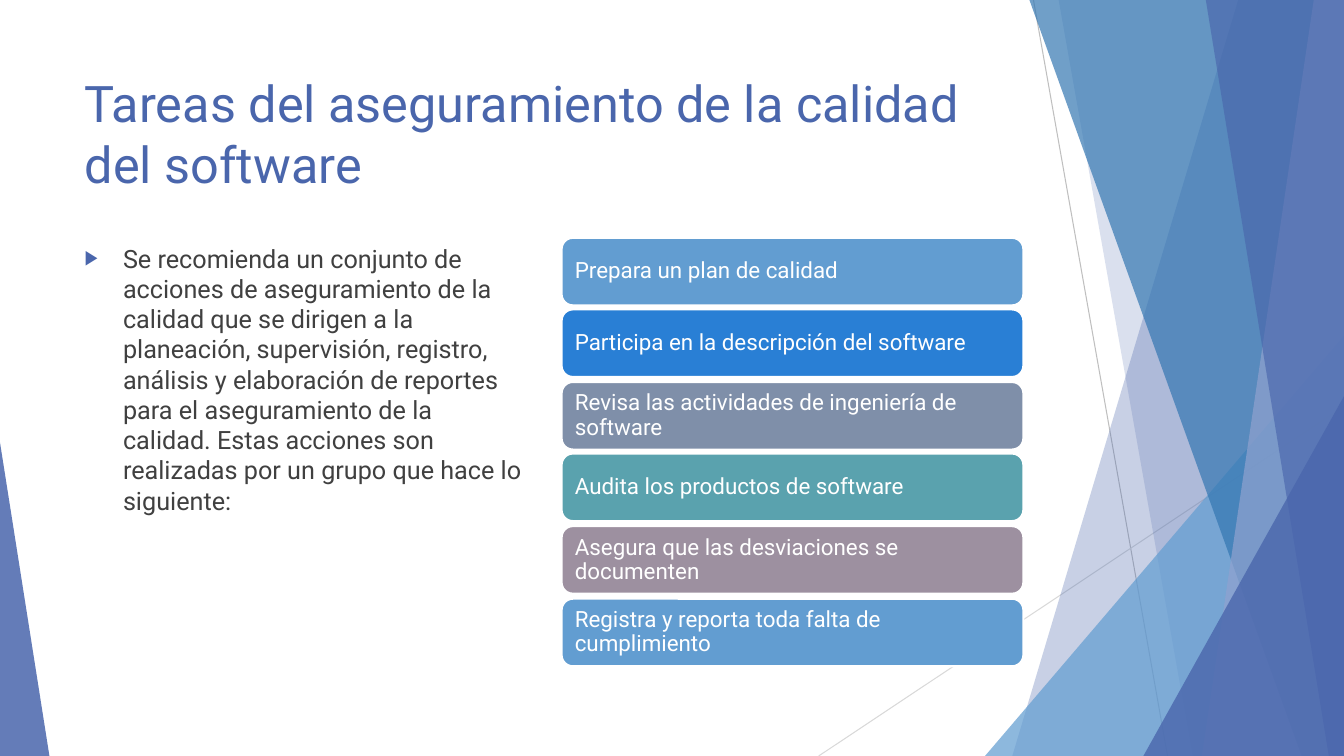
"""Build the slide on software quality assurance tasks."""
from lxml.etree import SubElement
from pptx import Presentation
from pptx.dml.color import RGBColor
from pptx.enum.shapes import MSO_CONNECTOR as CONNECTOR, MSO_SHAPE as SHAPE
from pptx.enum.text import MSO_ANCHOR as ANCHOR, MSO_AUTO_SIZE as AUTO, PP_ALIGN as ALIGN
from pptx.oxml.ns import qn
from pptx.util import Pt

PX = 9144
WIDTH, HEIGHT = 1333, 750
COLORS = {
    "indigo": "4A66AC", "sky": "629DD1", "steel": "3477B2", "lilac": "90A2CF",
    "blue": "297FD5", "slate": "7F8FA9", "teal": "5AA2AE", "mauve": "9D90A0",
    "gray": "BFBFBF", "silver": "D9D9D9", "ink": "404040", "white": "FFFFFF",
}


def paint(shape, color, opacity=100):
    shape.shadow.inherit = False
    shape.fill.solid()
    shape.fill.fore_color.rgb = RGBColor.from_string(COLORS[color])
    shape.line.fill.background()
    if opacity < 100:
        tint = shape.fill._xPr.find(qn("a:solidFill"))[0]
        SubElement(tint, qn("a:alpha"), val=str(opacity * 1000))


def style(paragraph, size, color):
    paragraph.alignment = ALIGN.LEFT
    paragraph.font.name = "Roboto"
    paragraph.font.size = Pt(size)
    paragraph.font.color.rgb = RGBColor.from_string(COLORS[color])


prs = Presentation()
prs.slide_width, prs.slide_height = WIDTH * PX, HEIGHT * PX
slide = prs.slides.add_slide(prs.slide_layouts[1])
shapes = slide.shapes

for x1, y1, x2, y2, color in [
    (1025, 0, 1158, HEIGHT, "gray"),
    (WIDTH, 403, 812, HEIGHT, "silver"),
]:
    ray = shapes.add_connector(CONNECTOR.STRAIGHT, x1 * PX, y1 * PX, x2 * PX, y2 * PX)
    ray.line.color.rgb = RGBColor.from_string(COLORS[color])
    ray.line.width = Pt(0.75)
    SubElement(ray._element.spPr, qn("a:effectLst"))

facets = [
    ("band", (1228, 1004), "indigo", 30),
    ("band", (1050, 1183), "indigo", 20),
    ("triangle", (977, 333, 356, 1), "sky", 72),
    ("band", (1021, 1291), "steel", 70),
    ("band", (1303, 1192), "lilac", 70),
    ("band", (1196, 1318), "indigo", 65),
    ("triangle", (1134, 393, 199, 1), "indigo", 80),
    ("triangle", (0, 439, 49, 0), "indigo", 85),
]
for outline, geometry, color, opacity in facets:
    if outline == "band":
        top_x, bottom_x = geometry
        builder = shapes.build_freeform(top_x, 0, scale=PX)
        builder.add_line_segments([(WIDTH, 0), (WIDTH, HEIGHT), (bottom_x, HEIGHT)], close=True)
        facet = builder.convert_to_shape()
    else:
        left, top, width, apex = geometry
        facet = shapes.add_shape(
            SHAPE.ISOSCELES_TRIANGLE, left * PX, top * PX, width * PX, (HEIGHT - top) * PX)
        facet.adjustments[0] = apex
    paint(facet, color, opacity)

title, intro = shapes.title, slide.placeholders[1]
for holder, top, width, height, wording in [
    (title, 67, 940, 144, "Tareas del aseguramiento de la calidad del software"),
    (intro, 236, 458, 424,
     "Se recomienda un conjunto de acciones de aseguramiento de la calidad que se dirigen "
     "a la planeación, supervisión, registro, análisis y elaboración de reportes para el "
     "aseguramiento de la calidad. Estas acciones son realizadas por un grupo que hace lo "
     "siguiente:"),
]:
    holder.left, holder.top = 74 * PX, top * PX
    holder.width, holder.height = width * PX, height * PX
    holder.text_frame.text = wording
    holder.text_frame.word_wrap = True
    holder.text_frame.auto_size = AUTO.NONE
    holder.text_frame.vertical_anchor = ANCHOR.TOP

style(title.text_frame.paragraphs[0], 36, "indigo")

summary = intro.text_frame.paragraphs[0]
summary.space_before = Pt(10)
indents = summary._p.get_or_add_pPr()
indents.set("marL", str(38 * PX))
indents.set("indent", str(-38 * PX))
SubElement(SubElement(indents, qn("a:buClr")), qn("a:srgbClr"), val=COLORS["indigo"])
SubElement(indents, qn("a:buSzPct"), val="80000")
SubElement(indents, qn("a:buChar"), char="▶")
style(summary, 18, "ink")

tasks = [
    ("Prepara un plan de calidad", "sky"),
    ("Participa en la descripción del software", "blue"),
    ("Revisa las actividades de ingeniería de software", "slate"),
    ("Audita los productos de software", "teal"),
    ("Asegura que las desviaciones se documenten", "mauve"),
    ("Registra y reporta toda falta de cumplimiento", "sky"),
]
first_top, last_top = 236, 594
for index, (task, color) in enumerate(tasks):
    top = first_top + index * (last_top - first_top) // (len(tasks) - 1)
    card = shapes.add_shape(SHAPE.ROUNDED_RECTANGLE, 557 * PX, top * PX, 458 * PX, 67 * PX)
    paint(card, color)
    card.line.color.rgb = RGBColor.from_string(COLORS["white"])
    card.line.width = Pt(1.5)
    frame = card.text_frame
    frame.text = task
    frame.word_wrap = True
    frame.vertical_anchor = ANCHOR.MIDDLE
    frame.margin_left = frame.margin_right = frame.margin_top = frame.margin_bottom = 10 * PX
    frame.paragraphs[0].line_spacing = 0.9
    style(frame.paragraphs[0], 16, "white")

prs.save("out.pptx")
